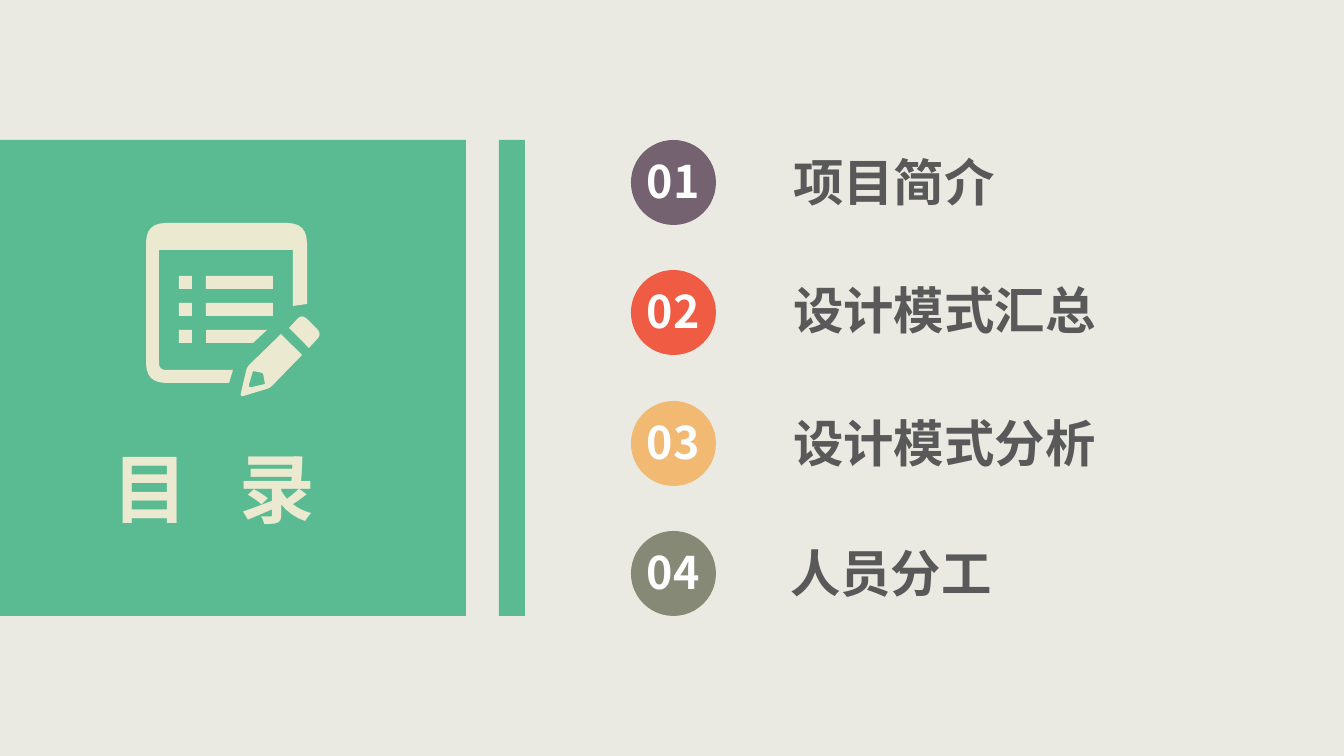
from lxml.etree import SubElement
from pptx import Presentation
from pptx.dml.color import RGBColor
from pptx.enum.shapes import MSO_SHAPE
from pptx.enum.text import MSO_ANCHOR, MSO_AUTO_SIZE, PP_ALIGN
from pptx.oxml.ns import qn
from pptx.util import Pt

PX = 914400 / 100.8
FINE = 10
GREEN, CREAM, GREY, WHITE, PAPER = "5ABB93", "EBE9D0", "595959", "FFFFFF", "EBEAE2"
PITCH = 130.4
ITEMS = [
    ("项目简介", "756271", 3, 48.3),
    ("设计模式汇总", "EF5B43", 3, 51.8),
    ("设计模式分析", "F2B973", 3, 49.7),
    ("人员分工", "858976", 0, 0),
]
NOTEPAD = [(146, 223, 20), (307, 223, 20), (307, 304, 0), (293, 306, 0),
           (293, 250, 0), (159, 250, 0), (159, 370, 7), (233, 370, 0),
           (229, 383, 0), (146, 383, 20)]
PENCIL = [(281, 334, 0), (302, 355, 0), (270, 388, 4), (240, 397, 4), (247, 367, 4)]
PENCIL_TIP = [(253, 371, 0), (248, 388, 4), (265, 384, 0), (263, 373, 2)]
ERASER = [(289, 328, 0), (302, 314, 7), (322, 334, 7), (309, 348, 0)]
SHORT_LINE = [(206, 330, 0), (267, 330, 0), (253, 343, 0), (206, 343, 0)]


def px(n):
    return round(n * PX)


def rgb(color):
    return RGBColor.from_string(color)


def toward(start, end, distance):
    dx, dy = end[0] - start[0], end[1] - start[1]
    share = distance / (dx * dx + dy * dy) ** 0.5
    return start[0] + dx * share, start[1] + dy * share


def rounded(corners, steps=6):
    points = []
    for i, corner in enumerate(corners):
        x, y, radius = corner
        if not radius:
            points.append((x * FINE, y * FINE))
            continue
        a = toward(corner, corners[i - 1], radius)
        b = toward(corner, corners[(i + 1) % len(corners)], radius)
        for k in range(steps + 1):
            t = k / steps
            u = 1 - t
            points.append(tuple(FINE * (u * u * p + 2 * u * t * c + t * t * q)
                                for p, c, q in zip(a, (x, y), b)))
    return points


class Deck:
    """Draws flat shapes and bold text on one slide."""

    def __init__(self, font):
        self.font = font
        self.prs = Presentation()
        self.prs.slide_width, self.prs.slide_height = px(1344), px(756)
        self.s = self.prs.slides.add_slide(self.prs.slide_layouts[1])
        self.s.background.fill.solid()
        self.s.background.fill.fore_color.rgb = rgb(PAPER)

    def paint(self, sp, color):
        sp.fill.solid()
        sp.fill.fore_color.rgb = rgb(color)
        sp.line.fill.background()
        sp.shadow.inherit = False
        return sp

    def shape(self, kind, x, y, w, h, color):
        sp = self.s.shapes.add_shape(kind, px(x), px(y), px(w), px(h))
        return self.paint(sp, color)

    def outline(self, color, *contours):
        first, *others = [rounded(c) for c in contours]
        builder = self.s.shapes.build_freeform(*first[0], scale=PX / FINE)
        builder.add_line_segments(first[1:])
        for points in others:
            builder.move_to(*points[0])
            builder.add_line_segments(points[1:])
        return self.paint(builder.convert_to_shape(), color)

    def text(self, sp, text, size, color, align, anchor, bottom=0):
        tf = sp.text_frame
        tf.text = text
        tf.auto_size, tf.word_wrap = MSO_AUTO_SIZE.NONE, False
        tf.vertical_anchor = anchor
        tf.margin_left = tf.margin_right = tf.margin_top = 0
        tf.margin_bottom = px(bottom)
        for p in tf.paragraphs:
            p.alignment = align
            for r in p.runs:
                r.font.size, r.font.bold = Pt(size), True
                r.font.color.rgb = rgb(color)
                r.font.name = self.font
                SubElement(r.font._element, qn("a:ea"), typeface=self.font)
        return tf

    def placeholder(self, sp, x, y, w, h):
        sp.left, sp.top, sp.width, sp.height = px(x), px(y), px(w), px(h)
        self.s.shapes.element.append(sp.element)
        return sp

    def title(self, text, x, y, w, h):
        sp = self.placeholder(self.s.shapes.title, x, y, w, h)
        tf = self.text(sp, text, 54, CREAM, PP_ALIGN.LEFT, MSO_ANCHOR.MIDDLE)
        tf.paragraphs[0].runs[0].font._element.set("spc", "1200")

    def contents(self, items, x, y, w, h):
        sp = self.placeholder(self.s.placeholders[1], x, y, w, h)
        lines = "\n".join(name for name, *_ in items)
        tf = self.text(sp, lines, 36, GREY, PP_ALIGN.LEFT, MSO_ANCHOR.TOP)
        for p, (_, _, indent, gap) in zip(tf.paragraphs, items):
            p.space_before, p.space_after = Pt(0), Pt(gap)
            pPr = p._p.get_or_add_pPr()
            pPr.set("marL", str(px(indent)))
            pPr.set("indent", "0")
            SubElement(pPr, qn("a:buNone"))

    def badge(self, number, x, y, size, color):
        sp = self.shape(MSO_SHAPE.OVAL, x, y, size, size, color)
        self.text(sp, number, 32, WHITE, PP_ALIGN.CENTER, MSO_ANCHOR.MIDDLE, bottom=3)

    def icon(self):
        self.outline(CREAM, NOTEPAD)
        self.outline(CREAM, PENCIL, PENCIL_TIP)
        self.outline(CREAM, ERASER)
        self.outline(CREAM, SHORT_LINE)
        for row in range(3):
            self.shape(MSO_SHAPE.RECTANGLE, 179, 276 + 27 * row, 13, 13, CREAM)
        for row in range(2):
            self.shape(MSO_SHAPE.RECTANGLE, 206, 276 + 27 * row, 67, 13, CREAM)


def main():
    deck = Deck("Noto Sans CJK SC")
    deck.shape(MSO_SHAPE.RECTANGLE, 0, 140, 466, 476, GREEN)
    deck.shape(MSO_SHAPE.RECTANGLE, 499, 140, 26, 476, GREEN)
    deck.icon()
    deck.title("目 录", 113, 433, 242, 109)
    for i, (_, color, *_) in enumerate(ITEMS):
        deck.badge(f"{i + 1:02d}", 631, round(140 + PITCH * i), 85, color)
    deck.contents(ITEMS, 790, 151, 326, 480)
    deck.prs.save("out.pptx")


if __name__ == "__main__":
    main()
